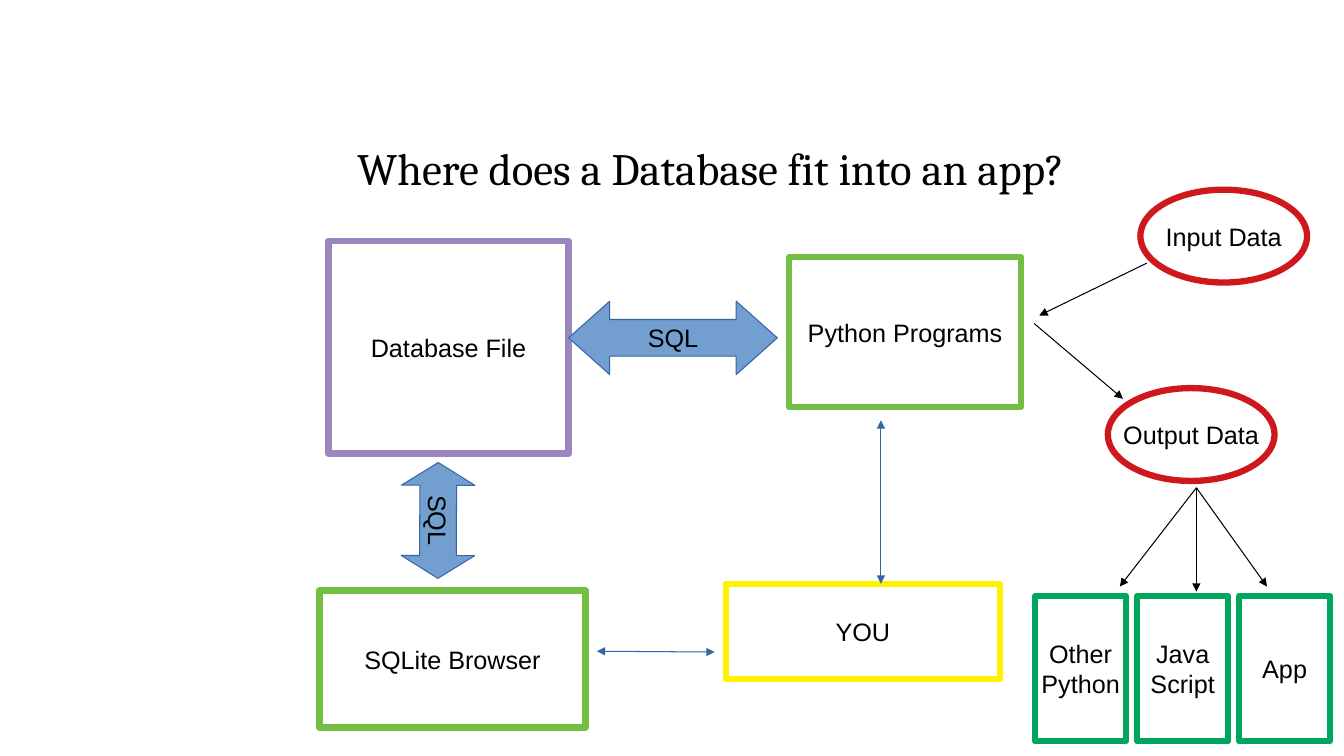
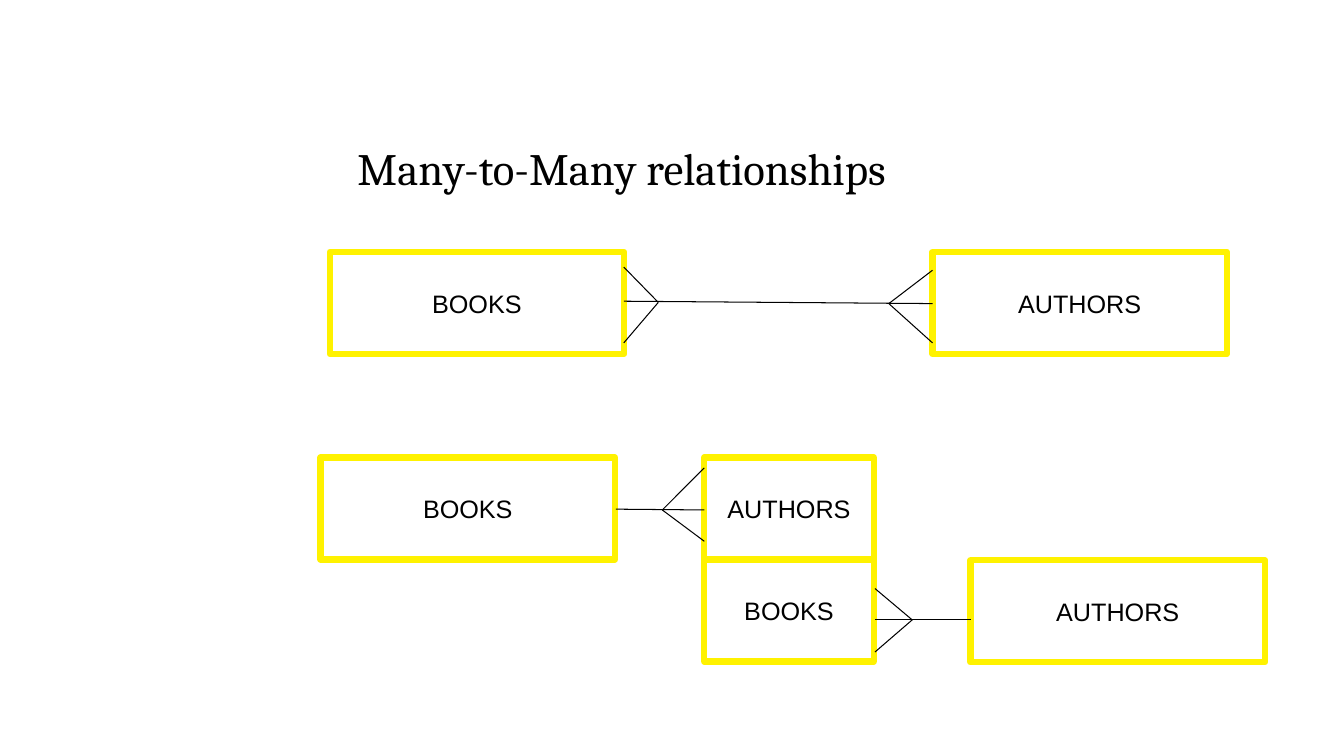
from dataclasses import dataclass

from lxml.etree import SubElement
from pptx import Presentation
from pptx.dml.color import RGBColor
from pptx.enum.shapes import MSO_CONNECTOR, MSO_SHAPE
from pptx.enum.text import MSO_ANCHOR, PP_ALIGN
from pptx.oxml.ns import qn
from pptx.slide import Slide
from pptx.util import Cm, Pt

BLACK = RGBColor(0x00, 0x00, 0x00)
WHITE = RGBColor(0xFF, 0xFF, 0xFF)
LIME = RGBColor(0x72, 0xBF, 0x44)
GREEN = RGBColor(0x00, 0xA6, 0x5D)
PURPLE = RGBColor(0x9D, 0x85, 0xBE)
YELLOW = RGBColor(0xFF, 0xF2, 0x00)
RED = RGBColor(0xCE, 0x18, 0x1E)
BLUE = RGBColor(0x72, 0x9F, 0xCF)
DARK_BLUE = RGBColor(0x34, 0x65, 0xA4)

TITLE_FONT = "Cambria"
BODY_FONT = "Arial"
TABLE_WIDTH, JOIN_WIDTH, TABLE_HEIGHT = 7.42, 4.27, 2.57

Point = tuple[float, float]


@dataclass(frozen=True)
class Node:
    text: str
    left: float
    top: float
    width: float
    height: float
    line: RGBColor
    shape: MSO_SHAPE = MSO_SHAPE.RECTANGLE
    fill: RGBColor = WHITE
    line_width: float = 4.5
    rotation: float = 0
    adjustments: tuple[float, ...] = ()


@dataclass(frozen=True)
class Link:
    start: Point
    end: Point
    color: RGBColor = BLACK
    head: bool = False
    tail: bool = False


@dataclass(frozen=True)
class CrowFoot:
    tip: Point
    edge: float
    upper: float
    lower: float


def double_arrow(left: float, top: float, width: float, tip: float, rotation: float = 0) -> Node:
    return Node("SQL", left, top, width, 1.85, DARK_BLUE, MSO_SHAPE.LEFT_RIGHT_ARROW,
                BLUE, 0.75, rotation, (0.5, tip))


def data_oval(text: str, left: float, top: float) -> Node:
    return Node(text, left, top, 4.2, 2.34, RED, MSO_SHAPE.OVAL)


def table_box(text: str, left: float, top: float, width: float = TABLE_WIDTH) -> Node:
    return Node(text, left, top, width, TABLE_HEIGHT, YELLOW)


def add_title(page: Slide, text: str) -> None:
    frame = page.shapes.add_textbox(Cm(8.76), Cm(2.46), Cm(21.03), Cm(2.59)).text_frame
    frame.word_wrap = True
    frame.vertical_anchor = MSO_ANCHOR.BOTTOM
    paragraph = frame.paragraphs[0]
    paragraph.text = text
    paragraph.line_spacing = 0.9
    paragraph.font.name = TITLE_FONT
    paragraph.font.size = Pt(32)
    paragraph.font.color.rgb = BLACK


def add_node(page: Slide, node: Node) -> None:
    box = page.shapes.add_shape(node.shape, Cm(node.left), Cm(node.top),
                                Cm(node.width), Cm(node.height))
    box.shadow.inherit = False
    box.rotation = node.rotation
    for index, value in enumerate(node.adjustments):
        box.adjustments[index] = value
    box.fill.solid()
    box.fill.fore_color.rgb = node.fill
    box.line.color.rgb = node.line
    box.line.width = Pt(node.line_width)
    SubElement(box.line._get_or_add_ln(), qn("a:round"))
    frame = box.text_frame
    frame.word_wrap = False
    frame.vertical_anchor = MSO_ANCHOR.MIDDLE
    frame.margin_left = frame.margin_right = Cm(0.33)
    frame.margin_top = frame.margin_bottom = Cm(0.2)
    frame.text = node.text
    for paragraph in frame.paragraphs:
        paragraph.alignment = PP_ALIGN.CENTER
        paragraph.font.name = BODY_FONT
        paragraph.font.size = Pt(18)
        paragraph.font.color.rgb = BLACK


def add_link(page: Slide, link: Link) -> None:
    connector = page.shapes.add_connector(
        MSO_CONNECTOR.STRAIGHT, *(Cm(value) for value in link.start + link.end))
    connector.line.color.rgb = link.color
    connector.line.width = Pt(0.75)
    outline = connector.line._get_or_add_ln()
    for shown, tag in ((link.head, "a:headEnd"), (link.tail, "a:tailEnd")):
        if shown:
            SubElement(outline, qn(tag), type="triangle")
    SubElement(connector._element.spPr, qn("a:effectLst"))


def add_crow_foot(page: Slide, foot: CrowFoot) -> None:
    for height in (foot.upper, foot.lower):
        add_link(page, Link(foot.tip, (foot.edge, height)))


def add_diagram(page: Slide, title: str, nodes: list[Node], links: list[Link]) -> None:
    add_title(page, title)
    for node in nodes:
        add_node(page, node)
    for link in links:
        add_link(page, link)


def build_app_page(page: Slide) -> None:
    output_point = (30.15, 12.29)
    consumers = ("Other\nPython", "Java\nScript", "App")
    consumer_points = ((28.22, 14.78), (30.15, 14.91), (31.93, 14.78))
    nodes = [
        Node("SQLite Browser", 8.05, 14.88, 6.71, 3.45, LIME),
        Node("Database File", 8.28, 6.07, 6.05, 5.36, PURPLE),
        Node("Python Programs", 19.89, 6.48, 5.84, 3.78, LIME),
        Node("YOU", 18.29, 14.71, 6.91, 2.41, YELLOW),
        double_arrow(14.33, 7.59, 5.26, 0.56),
        double_arrow(9.58, 12.19, 2.92, 0.31, 90.2),
        data_oval("Input Data", 28.74, 4.78),
        data_oval("Output Data", 27.92, 9.78),
    ]
    nodes += [Node(text, 26.09 + 2.57 * index, 15.02, 2.29, 3.66, GREEN)
              for index, text in enumerate(consumers)]
    links = [
        Link((22.2, 10.59), (22.2, 14.71), DARK_BLUE, head=True, tail=True),
        Link((15.04, 16.41), (18.01, 16.43), DARK_BLUE, head=True, tail=True),
        Link((26.06, 8.15), (28.3, 10.05), tail=True),
        Link((28.9, 6.63), (26.19, 7.95), tail=True),
    ]
    links += [Link(output_point, point, tail=True) for point in consumer_points]
    add_diagram(page, "Where does a Database fit into an app?", nodes, links)


def build_relationship_page(page: Slide) -> None:
    nodes = [
        table_box("BOOKS", 8.31, 6.35),
        table_box("AUTHORS", 23.5, 6.35),
        table_box("BOOKS", 17.75, 14.1, JOIN_WIDTH),
        table_box("BOOKS", 8.08, 11.53),
        table_box("AUTHORS", 17.75, 11.53, JOIN_WIDTH),
        table_box("AUTHORS", 24.46, 14.12),
    ]
    links = [
        Link((15.72, 7.59), (23.5, 7.65)),
        Link((15.52, 12.83), (17.75, 12.85)),
        Link((22.05, 15.62), (24.46, 15.62)),
    ]
    crow_feet = [
        CrowFoot((16.59, 7.62), 15.72, 6.73, 8.64),
        CrowFoot((22.4, 7.65), 23.5, 6.81, 8.64),
        CrowFoot((16.69, 12.85), 17.75, 11.79, 13.64),
        CrowFoot((22.99, 15.62), 22.05, 14.83, 16.43),
    ]
    add_diagram(page, "Many-to-Many relationships", nodes, links)
    for foot in crow_feet:
        add_crow_foot(page, foot)


def main() -> None:
    deck = Presentation()
    deck.slide_width, deck.slide_height = Cm(33.87), Cm(19.05)
    blank = deck.slide_layouts[6]
    for build in (build_app_page, build_relationship_page):
        build(deck.slides.add_slide(blank))
    deck.save("out.pptx")


if __name__ == "__main__":
    main()
